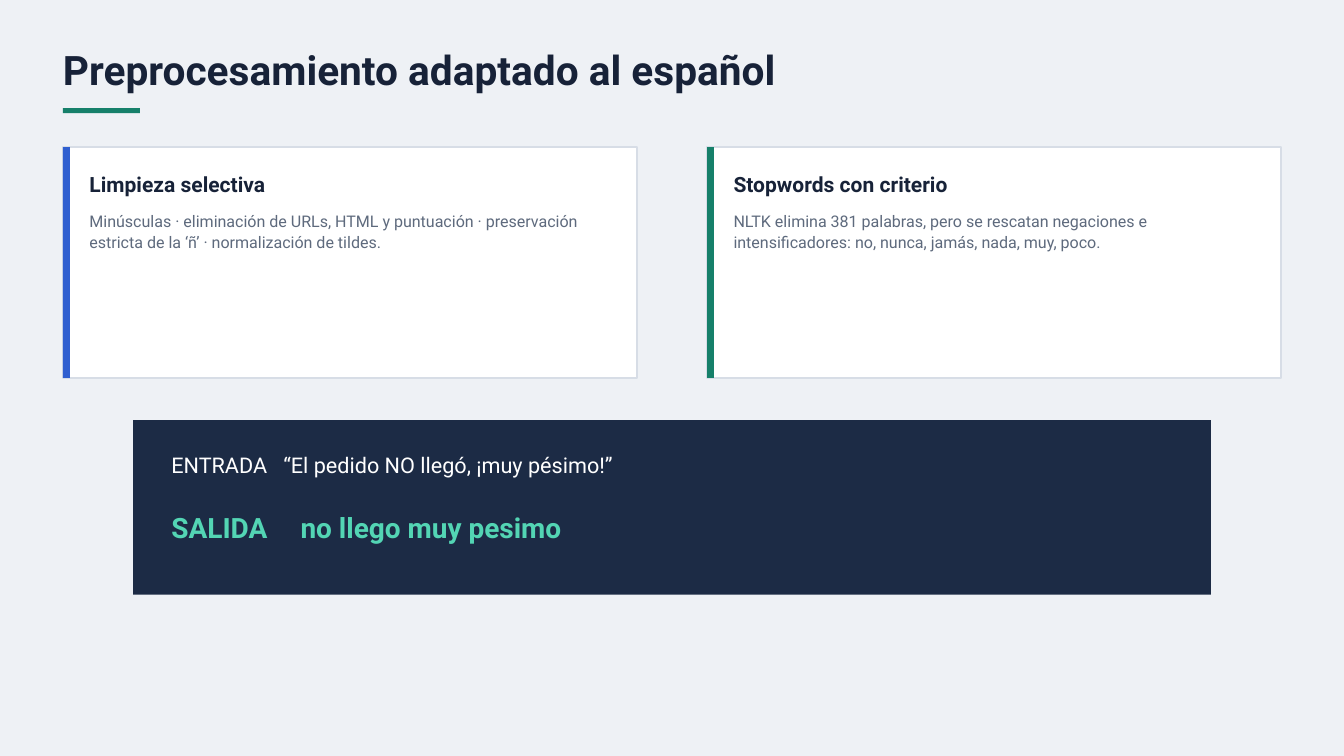
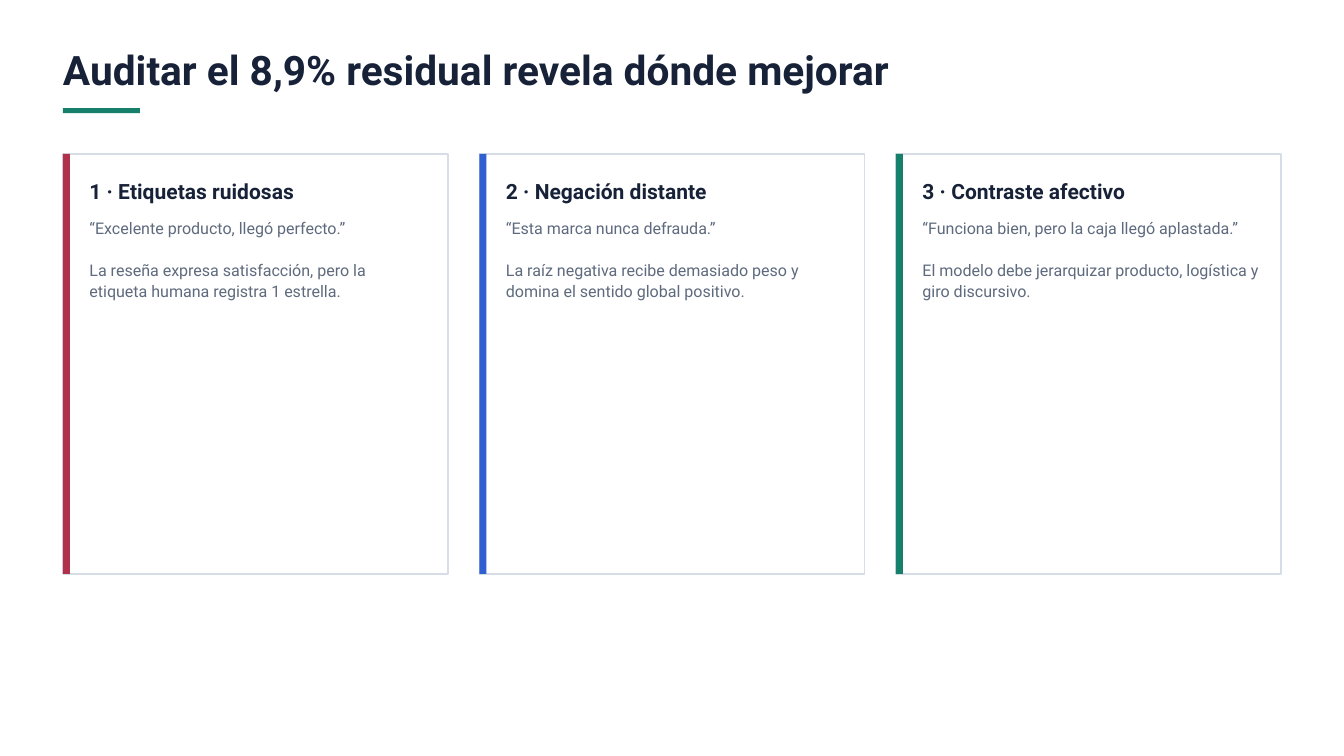
from dataclasses import dataclass

from lxml.etree import SubElement
from pptx import Presentation
from pptx.dml.color import RGBColor
from pptx.enum.shapes import MSO_SHAPE
from pptx.enum.text import MSO_ANCHOR, MSO_AUTO_SIZE, PP_ALIGN
from pptx.oxml.ns import qn
from pptx.shapes.autoshape import Shape
from pptx.shapes.shapetree import GroupShapes
from pptx.slide import Slide
from pptx.text.text import TextFrame
from pptx.util import Cm, Pt

FONT = "Roboto"
COLORS = {
    "mist": "EEF1F5", "white": "FFFFFF", "ink": "172238", "gray": "5E6A7D",
    "edge": "D7DDE6", "navy": "1C2B45", "mint": "53D5B4",
    "green": "16806A", "blue": "2F5FD0", "red": "B0324A",
}
LEFT = 2.38
SPAN = 46.04


@dataclass(frozen=True)
class Style:
    size: float
    lead: float
    color: str
    bold: bool = False


@dataclass(frozen=True)
class Box:
    left: float
    top: float
    width: float
    height: float


@dataclass(frozen=True)
class Card:
    color: str
    head: str
    lines: tuple[str, ...]


@dataclass(frozen=True)
class Row:
    label: str
    value: str
    top: float
    height: float
    stop: float
    style: Style


TITLE = Style(43.5, 47, "ink", True)
HEAD = Style(22.5, 29.2, "ink", True)
BODY = Style(17.2, 22.4, "gray")

STEPS = [
    Card("blue", "Limpieza selectiva", (
        "Minúsculas · eliminación de URLs, HTML y puntuación · "
        "preservación estricta de la ‘ñ’ · normalización de tildes.",)),
    Card("green", "Stopwords con criterio", (
        "NLTK elimina 381 palabras, pero se rescatan negaciones e "
        "intensificadores: no, nunca, jamás, nada, muy, poco.",)),
]
ERRORS = [
    Card("red", "1 · Etiquetas ruidosas", (
        "“Excelente producto, llegó perfecto.”",
        "La reseña expresa satisfacción, pero la etiqueta humana "
        "registra 1 estrella.")),
    Card("blue", "2 · Negación distante", (
        "“Esta marca nunca defrauda.”",
        "La raíz negativa recibe demasiado peso y domina el sentido "
        "global positivo.")),
    Card("green", "3 · Contraste afectivo", (
        "“Funciona bien, pero la caja llegó aplastada.”",
        "El modelo debe jerarquizar producto, logística y giro "
        "discursivo.")),
]
ROWS = [
    Row("ENTRADA", "“El pedido NO llegó, ¡muy pésimo!”", 17, 1.04, 4.23,
        Style(23.2, 30.2, "white")),
    Row("SALIDA", "no llego muy pesimo", 19.2, 1.37, 4.88,
        Style(30, 39, "mint", True)),
]


def tint(name: str) -> RGBColor:
    return RGBColor.from_string(COLORS[name])


def place(shape: Shape, box: Box) -> None:
    shape.left, shape.top = Cm(box.left), Cm(box.top)
    shape.width, shape.height = Cm(box.width), Cm(box.height)


def draw_rect(shapes: GroupShapes, box: Box, fill: str, edge: str = "") -> None:
    rect = shapes.add_shape(MSO_SHAPE.RECTANGLE, 0, 0, 0, 0)
    place(rect, box)
    rect.shadow.inherit = False
    rect.fill.solid()
    rect.fill.fore_color.rgb = tint(fill)
    if edge:
        rect.line.color.rgb = tint(edge)
        rect.line.width = Pt(1.5)
    else:
        rect.line.fill.background()


def write(frame: TextFrame, lines: tuple[str, ...], style: Style,
          stop: float = 0) -> None:
    frame.word_wrap = True
    frame.auto_size = MSO_AUTO_SIZE.NONE
    frame.vertical_anchor = MSO_ANCHOR.TOP
    frame.margin_left = frame.margin_right = 0
    frame.margin_top = frame.margin_bottom = 0
    for i, line in enumerate(lines):
        para = frame.add_paragraph() if i else frame.paragraphs[0]
        para.alignment = PP_ALIGN.LEFT
        para.line_spacing = Pt(style.lead)
        para.space_before = Pt(style.lead if i else 0)
        if stop:
            tabs = SubElement(para._p.get_or_add_pPr(), qn("a:tabLst"))
            SubElement(tabs, qn("a:tab"), pos=str(Cm(stop)), algn="l")
        run = para.add_run()
        run.text = line
        run.font.name = FONT
        run.font.size = Pt(style.size)
        run.font.bold = style.bold
        run.font.color.rgb = tint(style.color)


def draw_text(shapes: GroupShapes, box: Box, lines: tuple[str, ...],
              style: Style, stop: float = 0) -> None:
    text = shapes.add_textbox(0, 0, 0, 0)
    place(text, box)
    write(text.text_frame, lines, style, stop)


def draw_card(slide: Slide, card: Card, box: Box) -> None:
    shapes = slide.shapes.add_group_shape().shapes
    draw_rect(shapes, box, "white", "edge")
    draw_rect(shapes, Box(box.left, box.top, 0.26, box.height), card.color)
    left, width = box.left + 1, box.width - 1.85
    draw_text(shapes, Box(left, box.top + 0.85, width, 1.02), (card.head,), HEAD)
    tall = 1.53 * len(card.lines)
    draw_text(shapes, Box(left, box.top + 2.38, width, tall), card.lines, BODY)


def draw_cards(slide: Slide, cards: list[Card], top: float, height: float,
               gap: float) -> None:
    width = (SPAN - gap * (len(cards) - 1)) / len(cards)
    for i, card in enumerate(cards):
        draw_card(slide, card, Box(LEFT + i * (width + gap), top, width, height))


def draw_panel(slide: Slide, rows: list[Row]) -> None:
    shapes = slide.shapes.add_group_shape().shapes
    draw_rect(shapes, Box(5.03, 15.88, 40.74, 6.6), "navy")
    for row in rows:
        draw_text(shapes, Box(6.48, row.top, 37.04, row.height),
                  (f"{row.label}\t{row.value}",), row.style, row.stop)


def add_slide(deck: Presentation, title: str, ground: str) -> Slide:
    slide = deck.slides.add_slide(deck.slide_layouts[5])
    slide.background.fill.solid()
    slide.background.fill.fore_color.rgb = tint(ground)
    place(slide.shapes.title, Box(LEFT, 1.9, 39.69, 1.67))
    write(slide.shapes.title.text_frame, (title,), TITLE)
    draw_rect(slide.shapes, Box(LEFT, 4.09, 2.91, 0.19), "green")
    return slide


def main() -> None:
    deck = Presentation()
    deck.slide_width, deck.slide_height = Cm(50.8), Cm(28.58)

    slide = add_slide(deck, "Preprocesamiento adaptado al español", "mist")
    draw_cards(slide, STEPS, top=5.56, height=8.73, gap=2.65)
    draw_panel(slide, ROWS)

    slide = add_slide(deck, "Auditar el 8,9% residual revela dónde mejorar", "white")
    draw_cards(slide, ERRORS, top=5.82, height=15.88, gap=1.19)

    deck.save("out.pptx")


if __name__ == "__main__":
    main()
